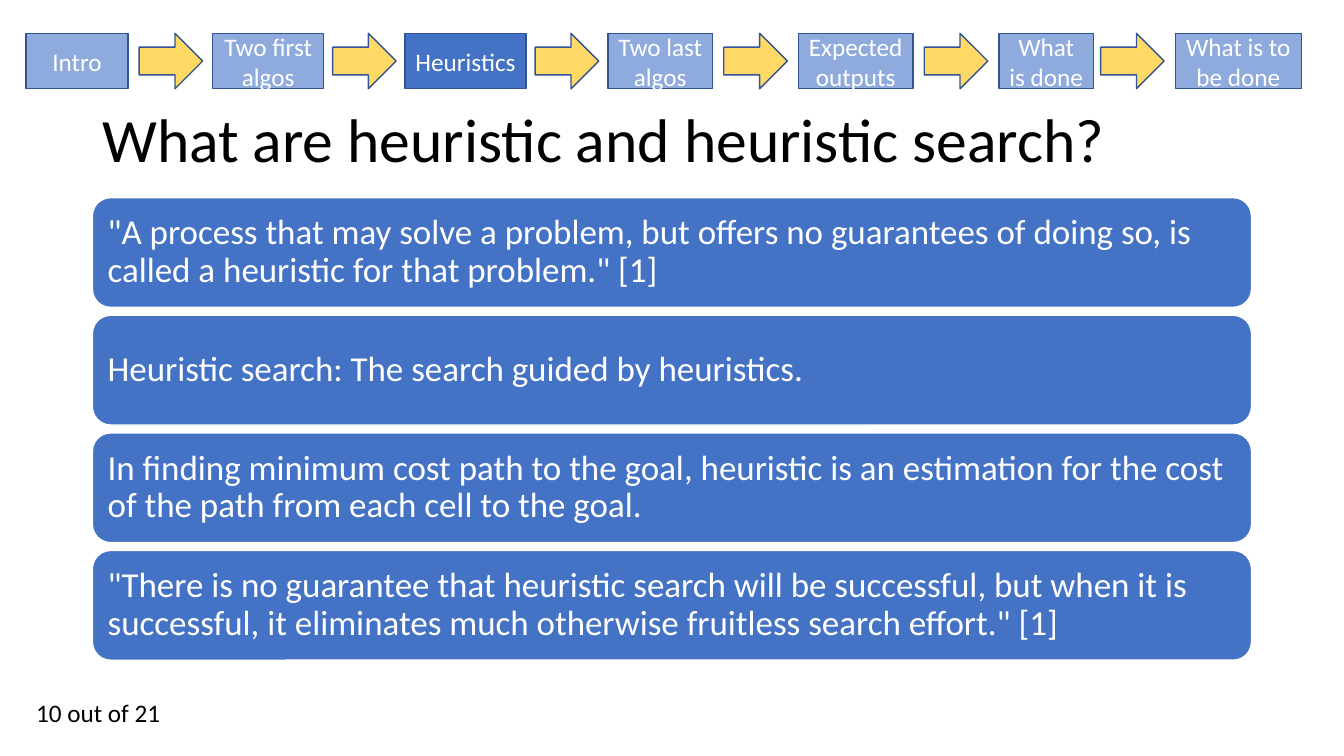
from pptx import Presentation
from pptx.dml.color import RGBColor
from pptx.enum.shapes import MSO_SHAPE
from pptx.enum.text import MSO_ANCHOR, PP_ALIGN
from pptx.util import Pt

RECT, ROUND, ARROW = MSO_SHAPE.RECTANGLE, MSO_SHAPE.ROUNDED_RECTANGLE, MSO_SHAPE.RIGHT_ARROW
TOP, MIDDLE = MSO_ANCHOR.TOP, MSO_ANCHOR.MIDDLE
LEFT, CENTER = PP_ALIGN.LEFT, PP_ALIGN.CENTER

BLUE, PALE_BLUE, OUTLINE, YELLOW = "4472C4", "8FAADC", "325491", "FFD966"
WHITE, BLACK = "FFFFFF", "000000"

# label, left, width
STEPS = [
    ("Intro", 18.7, 72.7),
    ("Two first algos", 151.9, 79.4),
    ("Heuristics", 289.4, 86.4),
    ("Two last algos", 434.2, 74.9),
    ("Expected outputs", 570.2, 82.1),
    ("What is done", 713.5, 67.7),
    ("What is to be done", 839.5, 90),
]
CURRENT_STEP = "Heuristics"
ARROW_LEFTS = [99.4, 237.6, 382.3, 517, 660.2, 786.2]
STEP_TOP, STEP_HEIGHT, ARROW_WIDTH = 23.8, 39.6, 45.4

CARDS = [
    '"A process that may solve a problem, but offers no guarantees of doing so, is called a heuristic for that problem." [1]',
    "Heuristic search: The search guided by heuristics.",
    "In finding minimum cost path to the goal, heuristic is an estimation for the cost of the path from each cell to the goal.",
    '"There is no guarantee that heuristic search will be successful, but when it is successful, it eliminates much otherwise fruitless search effort." [1]',
]
MARGIN, CONTENT_WIDTH = 66, 828
CARD_TOP, CARD_HEIGHT, CARD_PITCH = 141.2, 78.4, 84


def rgb(color):
    return RGBColor.from_string(color)


class SlideBuilder:
    font = "Calibri"

    def __init__(self, slide):
        self.slide = slide

    def set_text(self, sp, text, size, color, align=LEFT, anchor=MIDDLE, spacing=1.0):
        tf = sp.text_frame
        tf.word_wrap = True
        tf.vertical_anchor = anchor
        p = tf.paragraphs[0]
        p.text = text
        p.alignment = align
        p.line_spacing = spacing
        p.font.name = self.font
        p.font.size = Pt(size)
        p.font.color.rgb = rgb(color)

    def shape(self, kind, left, top, width, height, fill, line):
        sp = self.slide.shapes.add_shape(kind, Pt(left), Pt(top), Pt(width), Pt(height))
        sp.shadow.inherit = False
        sp.fill.solid()
        sp.fill.fore_color.rgb = rgb(fill)
        sp.line.color.rgb = rgb(line)
        sp.line.width = Pt(1)
        return sp

    def text(self, text, left, top, width, height, size, **style):
        sp = self.slide.shapes.add_textbox(Pt(left), Pt(top), Pt(width), Pt(height))
        self.set_text(sp, text, size, BLACK, **style)

    def card(self, text, top):
        sp = self.shape(ROUND, MARGIN, top, CONTENT_WIDTH, CARD_HEIGHT, BLUE, WHITE)
        self.set_text(sp, text, 25, WHITE, spacing=0.9)

    def step(self, label, left, width):
        fill = BLUE if label == CURRENT_STEP else PALE_BLUE
        sp = self.shape(RECT, left, STEP_TOP, width, STEP_HEIGHT, fill, OUTLINE)
        self.set_text(sp, label, 18, WHITE, align=CENTER)

    def arrow(self, left):
        self.shape(ARROW, left, STEP_TOP, ARROW_WIDTH, STEP_HEIGHT, YELLOW, OUTLINE)


def main():
    prs = Presentation()
    prs.slide_width, prs.slide_height = Pt(960), Pt(540)
    s = SlideBuilder(prs.slides.add_slide(prs.slide_layouts[6]))

    s.text("What are heuristic and heuristic search?",
           MARGIN, 49.7, CONTENT_WIDTH, 104.4, 44, spacing=0.9)
    for i, text in enumerate(CARDS):
        s.card(text, CARD_TOP + i * CARD_PITCH)
    s.text("10 out of 21", 18.7, 494.6, 216, 28.8, 18, anchor=TOP)
    for step in STEPS:
        s.step(*step)
    for left in ARROW_LEFTS:
        s.arrow(left)

    prs.save("out.pptx")


if __name__ == "__main__":
    main()
